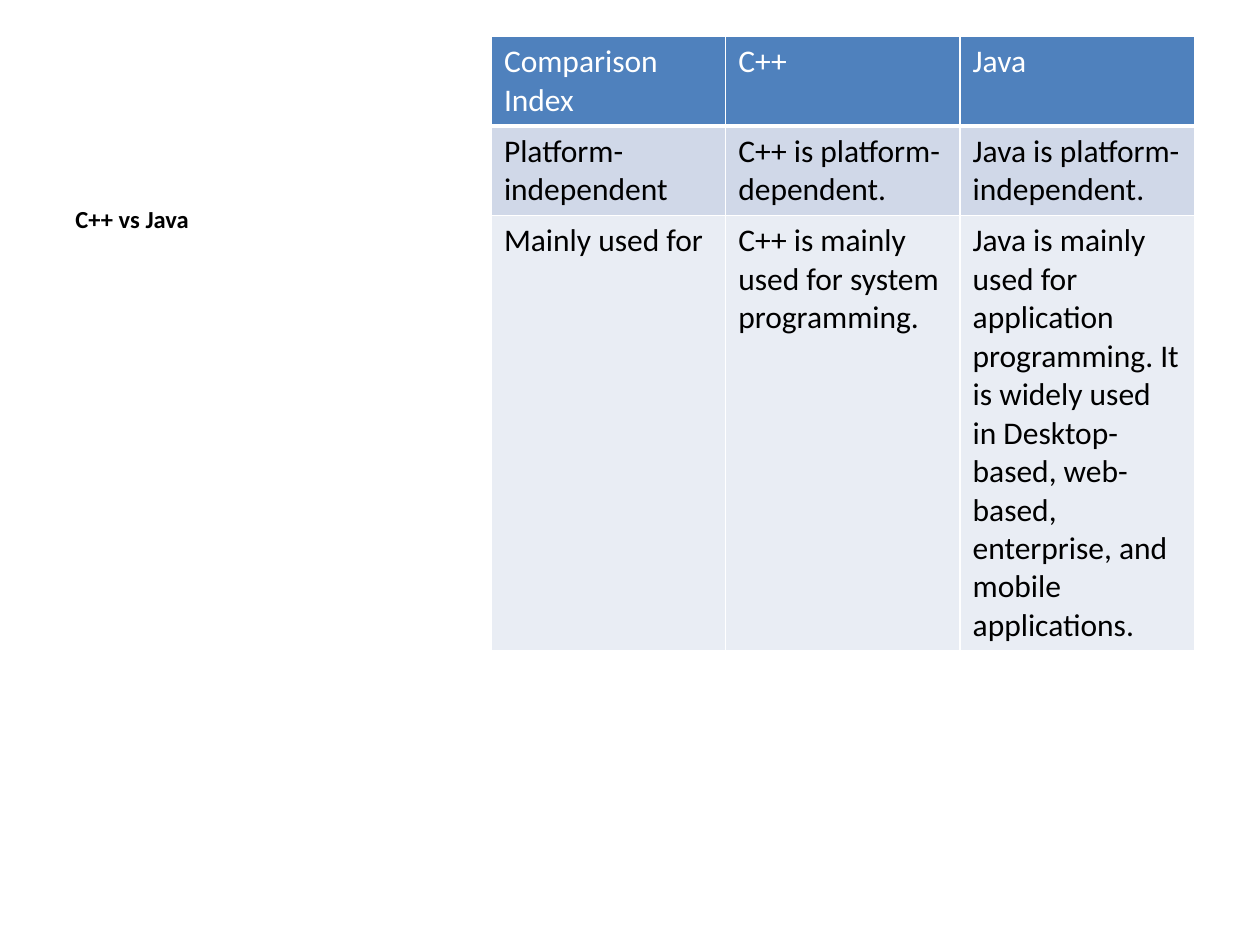
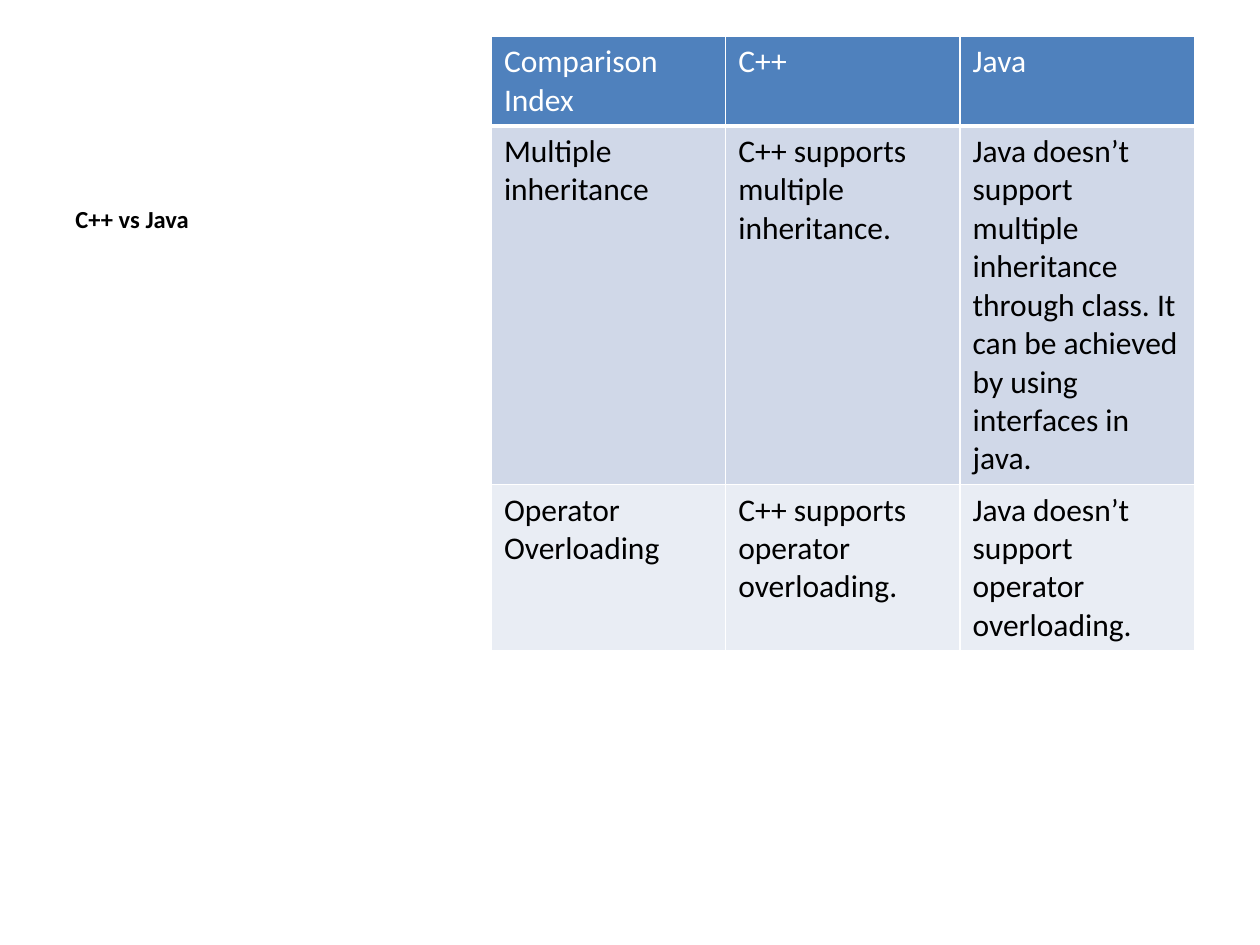
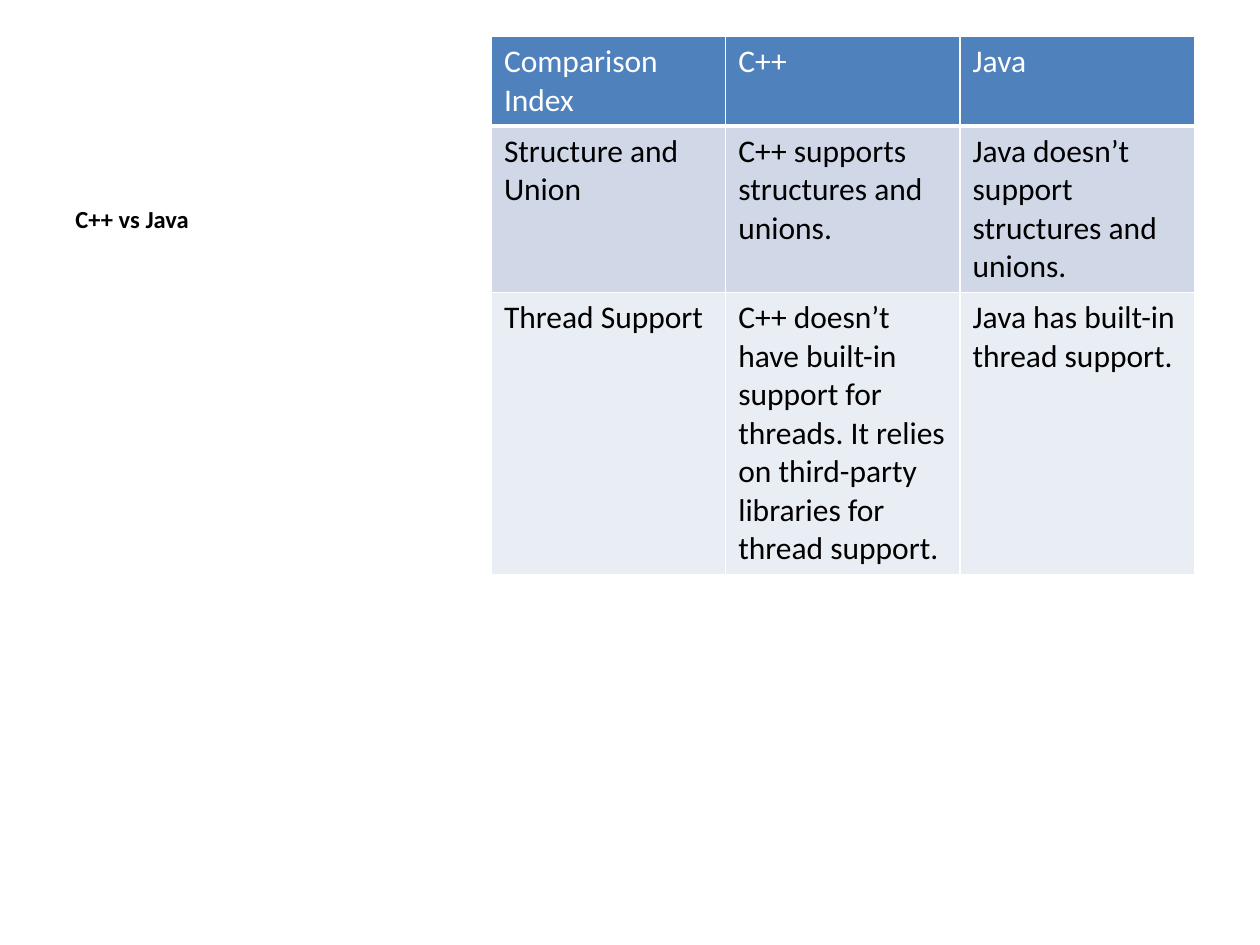
from dataclasses import dataclass

from lxml import etree
from pptx import Presentation
from pptx import util as u
from pptx.dml import color
from pptx.enum import text
from pptx.oxml import ns


@dataclass(frozen=True)
class Theme:
    face: str = "Calibri"
    ink: str = "000000"
    white: str = "FFFFFF"
    head: str = "4F81BD"
    bands: tuple[str, ...] = ("D0D8E8", "E9EDF4")
    title: int = 14
    body: int = 18
    thin: int = 1
    thick: int = 3


@dataclass(frozen=True)
class Row:
    cells: tuple[str, str, str]
    lines: int


THEME = Theme()
TITLE = "C++ vs Java"
HEAD = Row(("Comparison Index", "C++", "Java"), 2)
PAGES = (
    (
        Row(("Platform-independent", "C++ is platform-dependent.",
             "Java is platform-independent."), 2),
        Row(("Mainly used for", "C++ is mainly used for system programming.",
             "Java is mainly used for application programming. It is widely used in "
             "Desktop-based, web-based, enterprise, and mobile applications."), 11),
    ),
    (
        Row(("Multiple inheritance", "C++ supports multiple inheritance.",
             "Java doesn’t support multiple inheritance through class. "
             "It can be achieved by using interfaces in java."), 9),
        Row(("Operator Overloading", "C++ supports operator overloading.",
             "Java doesn’t support operator overloading."), 4),
    ),
    (
        Row(("Structure and Union", "C++ supports structures and unions.",
             "Java doesn’t support structures and unions."), 4),
        Row(("Thread Support",
             "C++ doesn’t have built-in support for threads. It relies on "
             "third-party libraries for thread support.",
             "Java has built-in thread support."), 7),
    ),
)


def write(frame, words: str, size: int, ink: str, bold: bool = False) -> None:
    para = frame.paragraphs[0]
    run = para.add_run()
    run.text = words
    look = {"name": THEME.face, "size": u.Pt(size), "bold": bold}
    for key, val in look.items():
        setattr(run.font, key, val)
    run.font.color.rgb = color.RGBColor.from_string(ink)


def edge(cell, base: int) -> None:
    props = cell._tc.get_or_add_tcPr()
    sides = {"lnL": THEME.thin, "lnR": THEME.thin, "lnT": THEME.thin, "lnB": base}
    for spot, (side, width) in enumerate(sides.items()):
        line = etree.Element(ns.qn(f"a:{side}"), w=str(u.Pt(width)))
        fill = etree.SubElement(line, ns.qn("a:solidFill"))
        etree.SubElement(fill, ns.qn("a:srgbClr"), val=THEME.white)
        props.insert(spot, line)


def draw_title(slide) -> None:
    box = slide.shapes.add_textbox(
        u.Inches(0.5), u.Inches(1.57), u.Inches(3.29), u.Inches(5.13))
    frame = box.text_frame
    look = {"word_wrap": True, "auto_size": text.MSO_AUTO_SIZE.NONE,
            "vertical_anchor": text.MSO_ANCHOR.TOP}
    for key, val in look.items():
        setattr(frame, key, val)
    write(frame, TITLE, THEME.title, THEME.ink, True)


def draw_table(slide, rows: tuple[Row, ...]) -> None:
    lines = (HEAD, *rows)
    tall = [u.Inches(0.1 + 0.3 * row.lines) for row in lines]
    grid = slide.shapes.add_table(
        len(lines), len(HEAD.cells), u.Inches(3.9), u.Inches(0.29),
        u.Inches(5.58), sum(tall)).table
    for key in ("first_row", "horz_banding"):
        setattr(grid, key, False)
    for i, row in enumerate(lines):
        grid.rows[i].height = tall[i]
        top = i == 0
        back = THEME.head if top else THEME.bands[(i - 1) % 2]
        for j, words in enumerate(row.cells):
            cell = grid.cell(i, j)
            cell.fill.solid()
            cell.fill.fore_color.rgb = color.RGBColor.from_string(back)
            edge(cell, THEME.thick if top else THEME.thin)
            write(cell.text_frame, words, THEME.body,
                  THEME.white if top else THEME.ink)


def main() -> None:
    deck = Presentation()
    deck.slide_width, deck.slide_height = u.Inches(10), u.Inches(7.5)
    for rows in PAGES:
        slide = deck.slides.add_slide(deck.slide_layouts[6])
        draw_title(slide)
        draw_table(slide, rows)
    deck.save("out.pptx")


if __name__ == "__main__":
    main()
